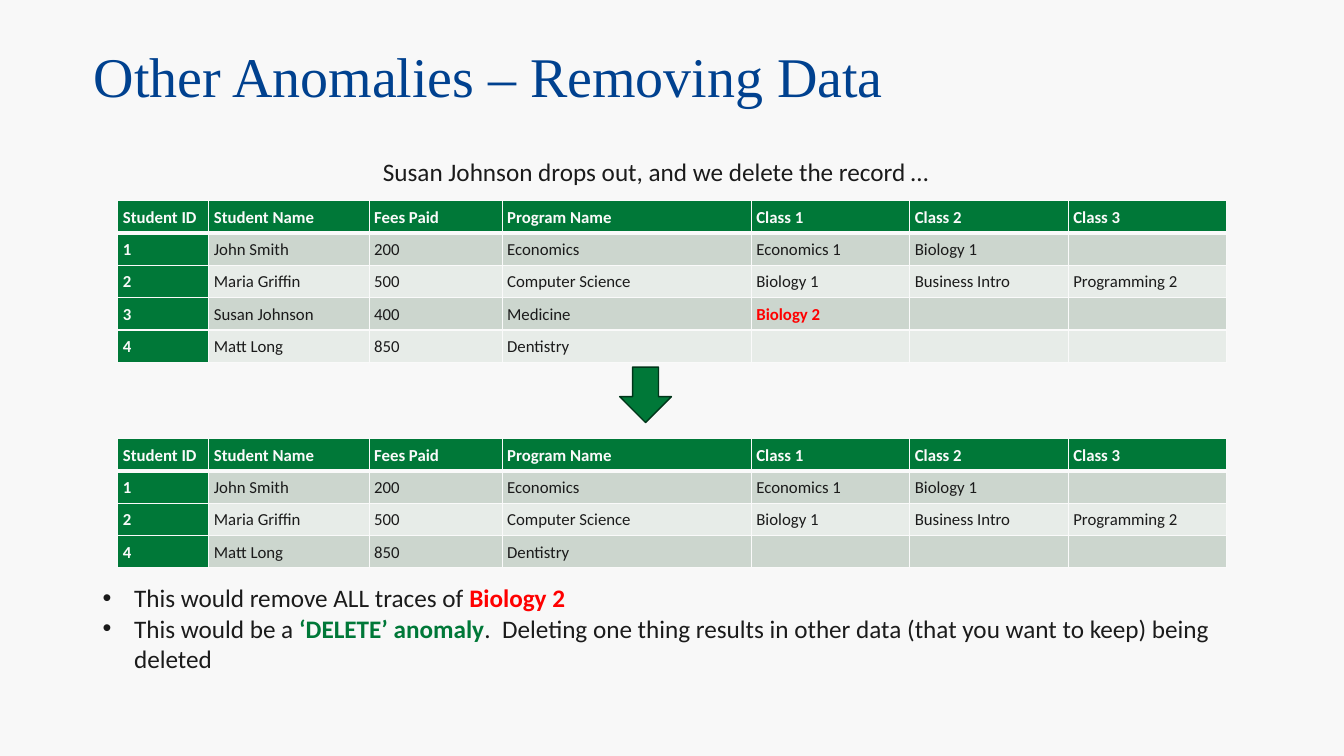
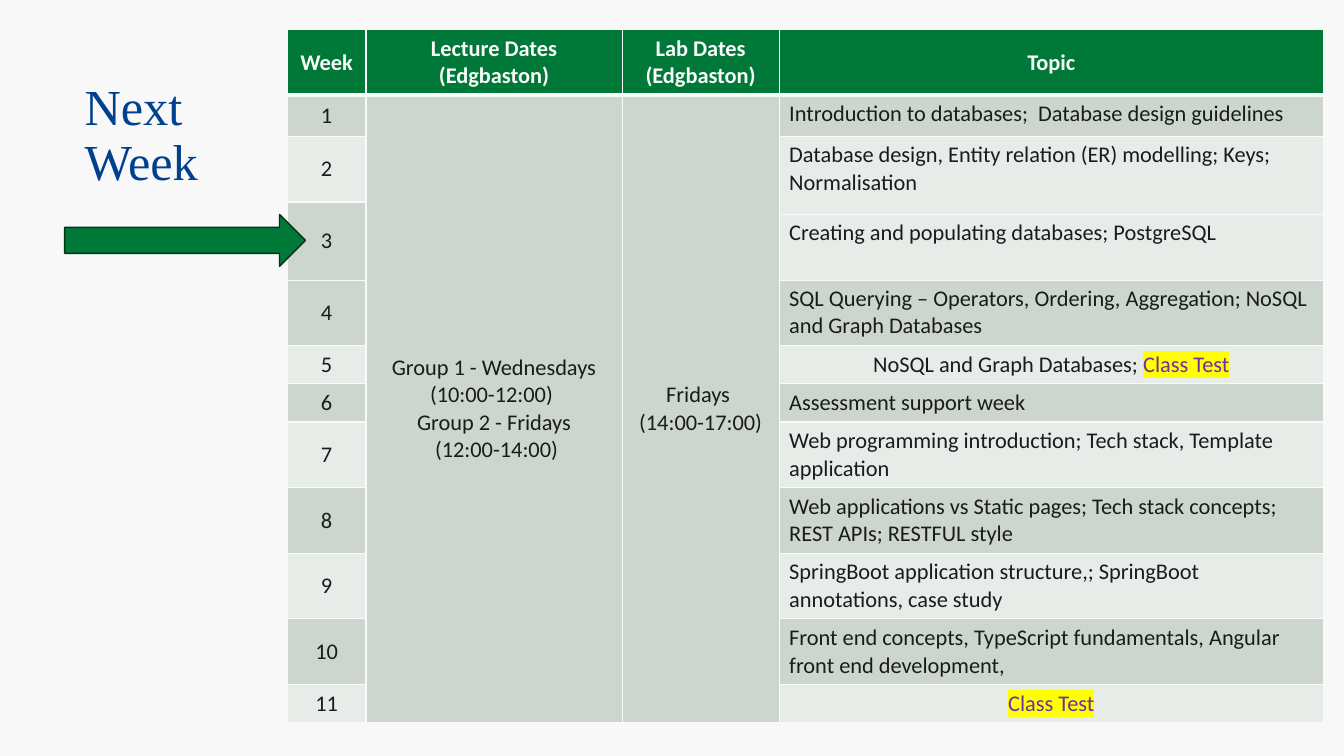
"""Build two database lecture slides: a delete anomaly and the weekly schedule."""
from dataclasses import dataclass

from lxml.etree import SubElement
from pptx import Presentation
from pptx.dml.color import RGBColor
from pptx.enum.shapes import MSO_SHAPE
from pptx.enum.text import MSO_ANCHOR, PP_ALIGN
from pptx.oxml.ns import qn
from pptx.util import Pt


@dataclass(frozen=True)
class Theme:
    background: str = "F8F8F8"
    title: str = "00418F"
    ink: str = "1B1B1B"
    light: str = "FAFAFA"
    green: str = "007838"
    outline: str = "003519"
    bands: tuple = ("E7ECE8", "CCD6CE")
    red: str = "FF0000"
    purple: str = "7030A0"
    yellow: str = "FFFF00"
    title_font: str = "Times New Roman"
    body_font: str = "Calibri"
    title_size: int = 40
    side_title_size: int = 36
    body_size: int = 18
    schedule_size: int = 16
    record_size: int = 12


THEME = Theme()
ALERT = {"color": THEME.red, "bold": True}
TERM = {"color": THEME.green, "bold": True}
TEST = {"color": THEME.purple, "highlight": THEME.yellow}

RECORD_HEADER = ["Student ID", "Student Name", "Fees Paid", "Program Name",
                 "Class 1", "Class 2", "Class 3"]
RECORDS = [
    ["1", "John Smith", "200", "Economics", "Economics 1", "Biology 1", ""],
    ["2", "Maria Griffin", "500", "Computer Science", "Biology 1",
     "Business Intro", "Programming 2"],
    ["3", "Susan Johnson", "400", "Medicine", [("Biology 2", ALERT)], "", ""],
    ["4", "Matt Long", "850", "Dentistry", "", "", ""],
]
RECORD_WIDTHS = [65, 114.5, 95, 178, 113.2, 113.2, 113.2]
RECORD_ROW = 23.1

CAPTION = "Susan Johnson drops out, and we delete the record …"
LESSONS = [
    [("This would remove ALL traces of ", {}), ("Biology 2", ALERT)],
    [("This would be a ", {}), ("‘DELETE’ anomaly", TERM),
     (".  Deleting one thing results in other data (that you want to keep) "
      "being deleted", {})],
]

SCHEDULE_HEADER = ["Week", "Lecture Dates (Edgbaston)",
                   "Lab Dates (Edgbaston)", "Topic"]
LECTURES = ["Group 1 - Wednesdays (10:00-12:00) ", "Group 2 - Fridays",
            " (12:00-14:00)"]
LABS = ["Fridays ", "(14:00-17:00)"]
TOPICS = [
    "Introduction to databases;  Database design guidelines",
    "Database design, Entity relation (ER) modelling; Keys; Normalisation",
    "Creating and populating databases; PostgreSQL",
    "SQL Querying – Operators, Ordering, Aggregation; NoSQL and Graph Databases",
    [("NoSQL and Graph Databases; ", {}), ("Class Test", TEST)],
    "Assessment support week",
    "Web programming introduction; Tech stack, Template application",
    "Web applications vs Static pages; Tech stack concepts; REST APIs; "
    "RESTFUL style",
    "SpringBoot application structure,; SpringBoot annotations, case study",
    "Front end concepts, TypeScript fundamentals, Angular front end development, ",
    [("Class Test", TEST)],
]
SCHEDULE_WIDTHS = [56.2, 183, 112.2, 388.8]
ONE_LINE, TWO_LINES = 27.2, 46.9
SCHEDULE_ROWS = [TWO_LINES, 29.3, TWO_LINES, 9, TWO_LINES, TWO_LINES, ONE_LINE,
                 ONE_LINE, *[TWO_LINES] * 4, ONE_LINE]
SPLIT_ROW = 3


def rgb(value):
    return RGBColor.from_string(value)


def write(frame, paragraphs, *, size, font=THEME.body_font, color=THEME.ink,
          bold=False, align=PP_ALIGN.LEFT, spacing=None, bullet_indent=None):
    for index, spans in enumerate(paragraphs):
        para = frame.add_paragraph() if index else frame.paragraphs[0]
        para.alignment = align
        if spacing:
            para.line_spacing = spacing
        if bullet_indent:
            properties = para._p.get_or_add_pPr()
            properties.set("marL", str(Pt(bullet_indent)))
            properties.set("indent", str(-Pt(bullet_indent)))
            SubElement(properties, qn("a:buFont"), typeface="Arial")
            SubElement(properties, qn("a:buChar"), char="•")
        if not spans:
            SubElement(para._p, qn("a:endParaRPr"), sz=str(size * 100))
            continue
        for text, style in [(spans, {})] if isinstance(spans, str) else spans:
            span = para.add_run()
            span.text = text
            span.font.size = Pt(size)
            span.font.name = font
            span.font.bold = style.get("bold", bold)
            span.font.color.rgb = rgb(style.get("color", color))
            if "highlight" in style:
                properties = span._r.get_or_add_rPr()
                highlight = SubElement(properties, qn("a:highlight"))
                SubElement(highlight, qn("a:srgbClr"), val=style["highlight"])
                properties.find(qn("a:solidFill")).addnext(highlight)


def add_text(page, place, paragraphs, *, anchor=MSO_ANCHOR.TOP, **style):
    box = page.shapes.add_textbox(*map(Pt, place))
    box.text_frame.word_wrap = True
    box.text_frame.vertical_anchor = anchor
    write(box.text_frame, paragraphs, **style)


def add_title(page, place, text, size):
    add_text(page, place, [text], anchor=MSO_ANCHOR.MIDDLE, size=size,
             font=THEME.title_font, color=THEME.title, spacing=0.9)


def add_arrow(page, preset, place):
    arrow = page.shapes.add_shape(preset, *map(Pt, place))
    arrow.shadow.inherit = False
    arrow.fill.solid()
    arrow.fill.fore_color.rgb = rgb(THEME.green)
    arrow.line.color.rgb = rgb(THEME.outline)
    arrow.line.width = Pt(1)


def draw_borders(cell, row):
    properties = cell._tc.get_or_add_tcPr()
    widths = {"lnL": 1, "lnR": 1, "lnT": 3 if row == 1 else 1,
              "lnB": 3 if row == 0 else 1}
    for index, (side, width) in enumerate(widths.items()):
        line = SubElement(properties, qn(f"a:{side}"), w=str(Pt(width)))
        fill = SubElement(line, qn("a:solidFill"))
        SubElement(fill, qn("a:srgbClr"), val=THEME.light)
        properties.insert(index, line)


def add_grid(page, left, top, widths, heights):
    place = map(Pt, (left, top, sum(widths), sum(heights)))
    table = page.shapes.add_table(len(heights), len(widths), *place).table
    for column, width in zip(table.columns, widths):
        column.width = Pt(width)
    for row, height in enumerate(heights):
        table.rows[row].height = Pt(height)
        for cell in table.rows[row].cells:
            cell.vertical_anchor = MSO_ANCHOR.MIDDLE
            cell.fill.solid()
            cell.fill.fore_color.rgb = rgb(THEME.bands[row % 2] if row else THEME.green)
            draw_borders(cell, row)
    return table


def add_records(page, top, records):
    rows = [RECORD_HEADER, *records]
    table = add_grid(page, 84.2, top, RECORD_WIDTHS, [RECORD_ROW] * len(rows))
    for row, values in enumerate(rows):
        for column, value in enumerate(values):
            cell = table.cell(row, column)
            cell.margin_left = cell.margin_right = Pt(3.6)
            cell.margin_top = cell.margin_bottom = Pt(3.6)
            strong = row == 0 or column == 0
            if strong:
                cell.fill.fore_color.rgb = rgb(THEME.green)
            write(cell.text_frame, [value], size=THEME.record_size, bold=strong,
                  color=THEME.light if strong else THEME.ink, spacing=1.07)


def add_schedule(page):
    table = add_grid(page, 205.2, 21.2, SCHEDULE_WIDTHS, SCHEDULE_ROWS)
    last = len(SCHEDULE_ROWS) - 1
    spans = [(1, last, 1), (1, last, 2), (SPLIT_ROW, SPLIT_ROW + 1, 0),
             (SPLIT_ROW - 1, SPLIT_ROW, 3)]
    for first, end, column in spans:
        table.cell(first, column).merge(table.cell(end, column))
    centred = {"size": THEME.schedule_size, "align": PP_ALIGN.CENTER}
    for column, heading in enumerate(SCHEDULE_HEADER):
        write(table.cell(0, column).text_frame, [heading], color=THEME.light,
              bold=True, **centred)
    write(table.cell(1, 1).text_frame, LECTURES, **centred)
    write(table.cell(1, 2).text_frame, LABS, **centred)
    for week, topic in enumerate(TOPICS, 1):
        week_row = week + (week > SPLIT_ROW)
        topic_row = week + (week >= SPLIT_ROW)
        write(table.cell(week_row, 0).text_frame, [str(week)], **centred)
        cell = table.cell(topic_row, 3)
        if week <= 5:
            cell.vertical_anchor = MSO_ANCHOR.TOP
        align = PP_ALIGN.LEFT if isinstance(topic, str) else PP_ALIGN.CENTER
        write(cell.text_frame, [topic], size=THEME.schedule_size, align=align)


def add_page(deck):
    page = deck.slides.add_slide(deck.slide_layouts[6])
    page.background.fill.solid()
    page.background.fill.fore_color.rgb = rgb(THEME.background)
    return page


def build_anomaly(deck):
    page = add_page(deck)
    add_title(page, (60, 34.5, 855, 45), "Other Anomalies – Removing Data",
              THEME.title_size)
    add_records(page, 143.4, RECORDS)
    add_records(page, 313.3, [record for record in RECORDS if record[0] != "3"])
    add_text(page, (266.4, 108, 443, 51), [CAPTION], size=THEME.body_size)
    add_text(page, (66.2, 412.6, 828, 73), LESSONS, size=THEME.body_size,
             bullet_indent=22.5)
    add_arrow(page, MSO_SHAPE.DOWN_ARROW, (442.6, 262.2, 37, 39.6))


def build_schedule(deck):
    page = add_page(deck)
    add_title(page, (53.3, 75, 145, 45), "Next Week", THEME.side_title_size)
    add_schedule(page)
    add_arrow(page, MSO_SHAPE.RIGHT_ARROW, (46.2, 153.2, 172, 37))


def main():
    deck = Presentation()
    deck.slide_width, deck.slide_height = Pt(960), Pt(540)
    build_anomaly(deck)
    build_schedule(deck)
    deck.save("out.pptx")


if __name__ == "__main__":
    main()
